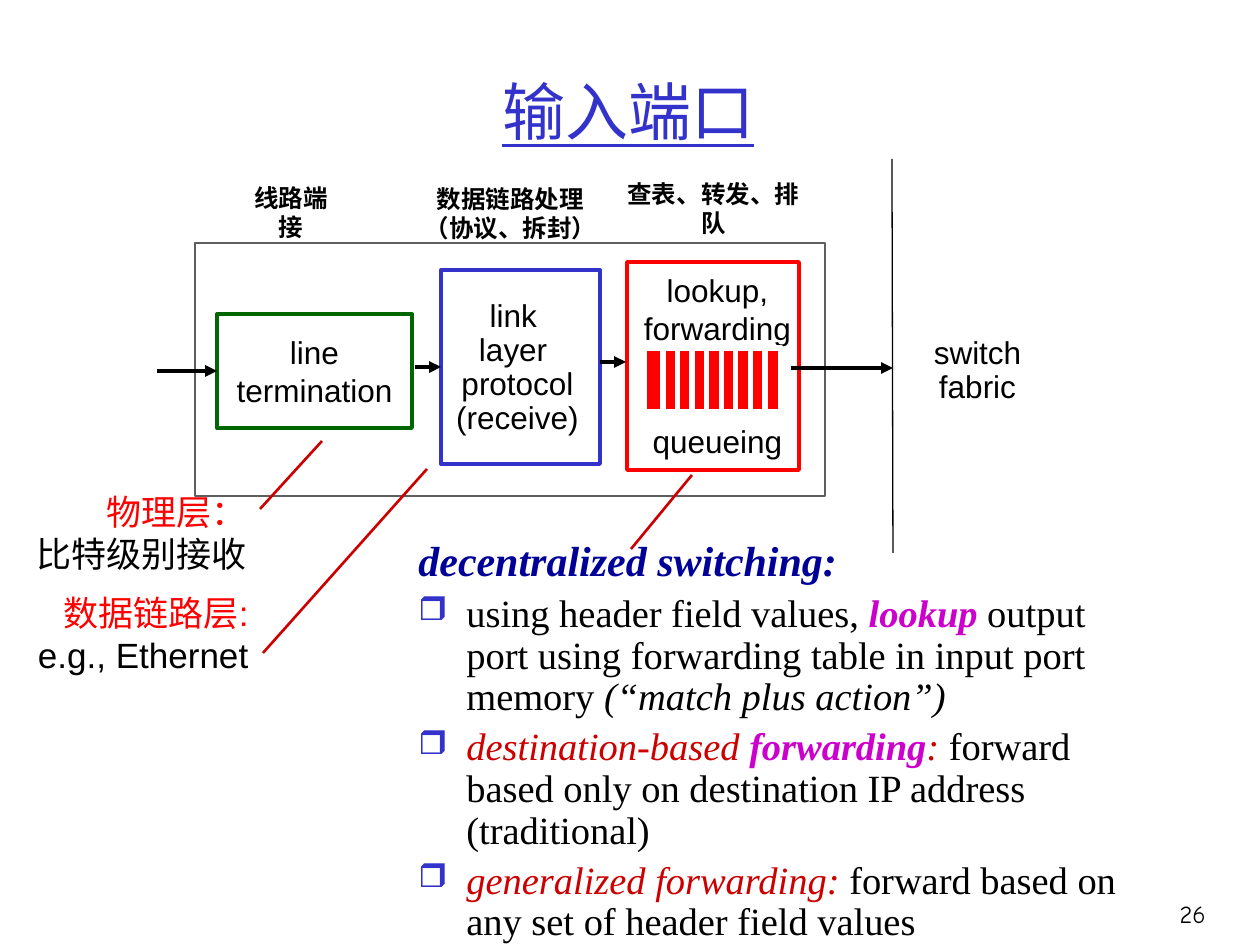
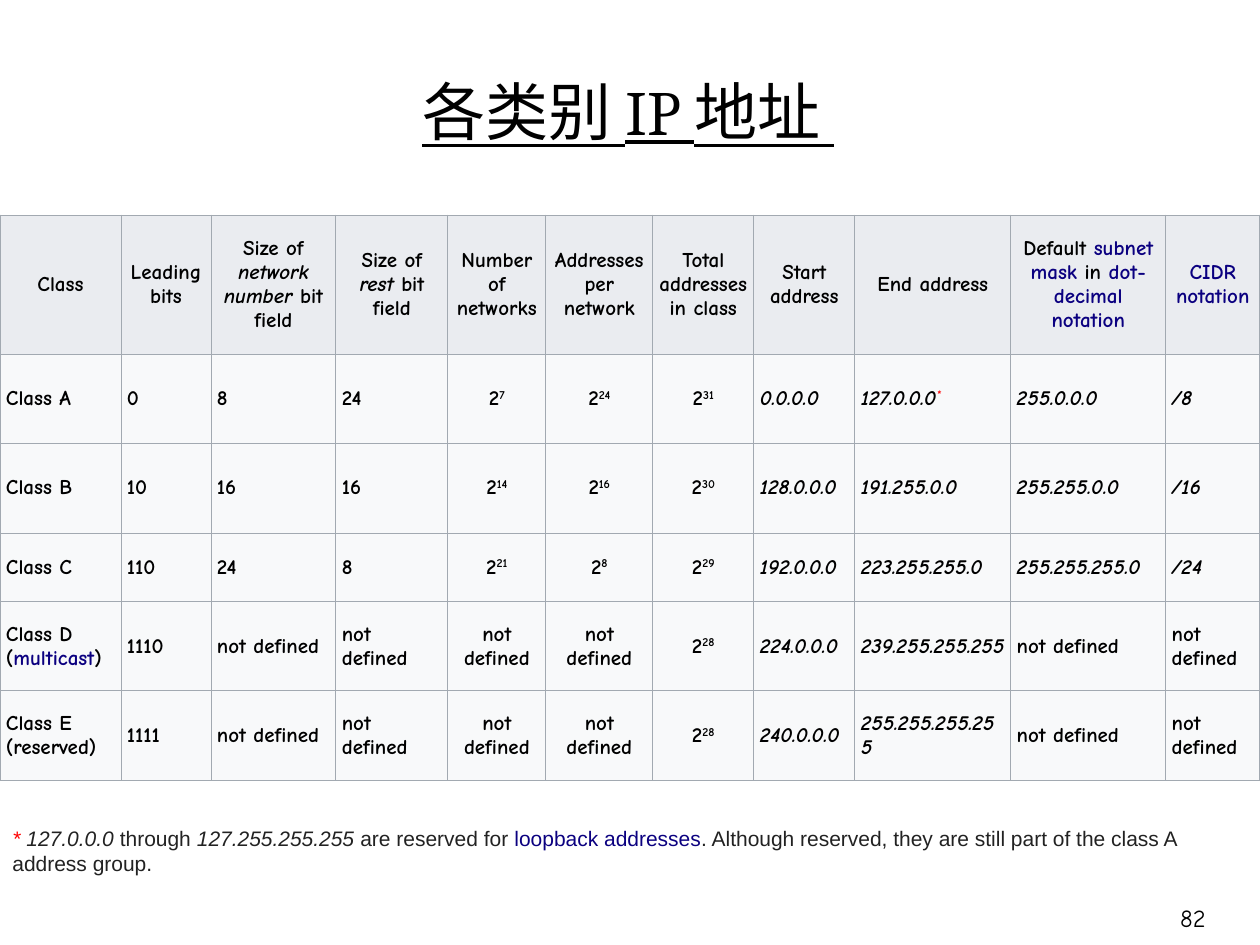
"""Two lecture slides: router input ports and the classes of IP addresses."""
import pptx
import pptx.dml.color
import pptx.enum.shapes
import pptx.enum.text
import pptx.oxml.ns
import pptx.util
from lxml import etree

RGB = pptx.dml.color.RGBColor
BLACK = RGB(0, 0, 0)
WHITE = RGB(255, 255, 255)
BLUE = RGB(0x33, 0x33, 0xCC)
NAVY = RGB(0, 0, 0x99)
RED = RGB(255, 0, 0)
DARK_RED = RGB(0xCC, 0, 0)
GREEN = RGB(0, 0x66, 0)
GREY = RGB(0x5F, 0x5F, 0x5F)
MAGENTA = RGB(0xCC, 0, 0xCC)
LINK = RGB(0x0B, 0, 0x80)
NOTE = RGB(0x22, 0x22, 0x22)
HEADER_FILL = RGB(0xEA, 0xEC, 0xF0)
ROW_FILL = RGB(0xF8, 0xF9, 0xFA)
BORDER = "A2A9B1"

PX = 914400 / 126
HAND = "Comic Neue"
CHINESE = "Noto Sans CJK SC"
LEFT, CENTER, RIGHT = (pptx.enum.text.PP_ALIGN.LEFT, pptx.enum.text.PP_ALIGN.CENTER,
                       pptx.enum.text.PP_ALIGN.RIGHT)
TOP, MIDDLE = pptx.enum.text.MSO_ANCHOR.TOP, pptx.enum.text.MSO_ANCHOR.MIDDLE
RECTANGLE = pptx.enum.shapes.MSO_SHAPE.RECTANGLE
STRAIGHT = pptx.enum.shapes.MSO_CONNECTOR.STRAIGHT
qn = pptx.oxml.ns.qn
Pt = pptx.util.Pt


def write(frame, lines, size, font="Arial", color=BLACK, align=LEFT, anchor=MIDDLE,
          wrap=False, spacing=None, **common):
    """Fill a text frame; a line is a string or a list of (text, style) spans."""
    frame.word_wrap = wrap
    frame.vertical_anchor = anchor
    for index, line in enumerate(lines):
        para = frame.paragraphs[0] if index == 0 else frame.add_paragraph()
        para.alignment = align
        if spacing:
            para.line_spacing = spacing
        for text, style in [(line, {})] if isinstance(line, str) else line:
            span = para.add_run()
            span.text = text
            look = {"size": size, "color": color, **common, **style}
            span.font.name = font
            span.font.size = Pt(look["size"])
            span.font.color.rgb = look["color"]
            span.font.bold = look.get("bold", False)
            span.font.italic = look.get("italic", False)
            span.font.underline = look.get("underline", False)
            properties = span._r.get_or_add_rPr()
            etree.SubElement(properties, qn("a:ea"), typeface=CHINESE)
            if look.get("raised"):
                properties.set("baseline", "30000")


def draw_line(shapes, ends, color, width, arrow=False):
    """Draw a straight line through (x1, y1, x2, y2) in px."""
    connector = shapes.add_connector(STRAIGHT, *[round(v * PX) for v in ends])
    connector.line.color.rgb = color
    connector.line.width = Pt(width)
    properties = connector._element.spPr
    if arrow:
        etree.SubElement(properties.find(qn("a:ln")), qn("a:tailEnd"), type="triangle")
    etree.SubElement(properties, qn("a:effectLst"))
    return connector


deck = pptx.Presentation()
deck.slide_width = round(1260 * PX)
deck.slide_height = round(945 * PX)

pages = []
for title, color, number, number_top, number_height in [
        ("输入端口", BLUE, "26", 882, 63), ("各类别 IP 地址 ", BLACK, "82", 896, 44)]:
    page = deck.slides.add_slide(deck.slide_layouts[6])
    pages.append(page)
    box = page.shapes.add_textbox(*[round(v * PX) for v in (73, 32, 1111, 157)])
    write(box.text_frame, [title], 36, "Cambria", color, CENTER, wrap=True, underline=True)
    box = page.shapes.add_textbox(
        *[round(v * PX) for v in (1125, number_top, 93, number_height)])
    write(box.text_frame, [number], 14, HAND, align=RIGHT, wrap=True)

port_page, class_page = pages
shapes = port_page.shapes

for lines, area in [
        (["线路端接"], (231, 193, 120, 39)),
        (["数据链路处理", "（协议、拆封）"], (410, 179, 201, 68)),
        (["查表、转发、排队"], (605, 183, 217, 50))]:
    box = shapes.add_textbox(*[round(v * PX) for v in area])
    write(box.text_frame, lines, 14, HAND, align=CENTER, bold=True)

stages = {}
for name, area, outline, width, lines, spacing in [
        ("port", (195, 243, 630, 253), GREY, 1.5, [], None),
        ("termination", (217, 314, 195, 114), GREEN, 2.25, ["line", "termination"], None),
        ("link", (441, 270, 159, 194), BLUE, 2.25, [], None),
        ("lookup", (627, 262, 172, 208), RED, 2.25, [], None),
        ("protocol", (445, 311, 145, 115), None, 0,
         ["link ", "layer ", "protocol", "(receive)"], 0.9),
        ("fabric", (905, 314, 145, 115), None, 0, ["switch", "fabric"], 0.9)]:
    stage = shapes.add_shape(RECTANGLE, *[round(v * PX) for v in area])
    stage.shadow.inherit = False
    stage.fill.solid()
    stage.fill.fore_color.rgb = WHITE
    if outline:
        stage.line.color.rgb = outline
        stage.line.width = Pt(width)
    else:
        stage.line.fill.background()
    write(stage.text_frame, lines, 18, align=CENTER, spacing=spacing)
    stages[name] = stage

for ends, target in [((157, 371, 217, 371), "termination"), ((415, 367, 441, 367), "link"),
                     ((600, 362, 626, 362), None), ((791, 368, 893, 368), None)]:
    arrow = draw_line(shapes, ends, BLACK, 2.25, arrow=True)
    if target:
        arrow.end_connect(stages[target], 1)

box = shapes.add_textbox(*[round(v * PX) for v in (631, 265, 173, 202)])
write(box.text_frame, ["lookup,", "forwarding", "queueing"], 18, align=CENTER, anchor=TOP)
box.text_frame.paragraphs[2].space_before = Pt(43)

for layer, example, font, area in [
        ("物理层：", "比特级别接收", CHINESE, (21, 484, 238, 97)),
        ("数据链路层:", "e.g., Ethernet", "Arial", (24, 585, 237, 97))]:
    box = shapes.add_textbox(*[round(v * PX) for v in area])
    write(box.text_frame, [[(layer, {"color": RED})], example], 20, font,
          align=RIGHT, anchor=TOP)

draw_line(shapes, (892, 159, 893, 553), BLACK, 0.75)

queue = shapes.add_group_shape()
buffer = queue.shapes.add_shape(RECTANGLE, *[round(v * PX) for v in (644, 348, 137, 64)])
buffer.shadow.inherit = False
buffer.fill.solid()
buffer.fill.fore_color.rgb = RED
buffer.line.color.rgb = WHITE
buffer.line.width = Pt(3)
for slot in range(8):
    x = 663 + slot * 102 / 7
    draw_line(queue.shapes, (x, 349, x, 411), WHITE, 3)

for ends in [(260, 509, 322, 441), (263, 653, 427, 469), (631, 549, 692, 475)]:
    draw_line(shapes, ends, DARK_RED, 1.5)

ITALIC = {"italic": True}
KEYWORD = {"color": MAGENTA, "bold": True, "italic": True}
TERM = {"color": DARK_RED, "italic": True}
box = shapes.add_textbox(*[round(v * PX) for v in (406, 534, 752, 411)])
write(box.text_frame, [
    [("decentralized switching:", {"size": 24, "color": NAVY, "bold": True, "italic": True})],
    [("using header field values, ", {}), ("lookup", KEYWORD),
     (" output port using forwarding table in input port memory ", {}),
     ("(“match plus action”)", ITALIC)],
    [("destination-based ", TERM), ("forwarding", KEYWORD), (": ", TERM),
     ("forward based only on destination IP address (traditional)", {})],
    [("generalized forwarding: ", TERM),
     ("forward based on any set of header field values", {})],
], 22, "Times New Roman", anchor=TOP, wrap=True, spacing=0.9)
for index, para in enumerate(box.text_frame.paragraphs):
    properties = para._p.get_or_add_pPr()
    properties.set("marL", str(round(48 * PX)))
    properties.set("indent", str(round(-48 * PX)))
    if index:
        para.space_before = Pt(5)
        bullet_color = etree.SubElement(properties, qn("a:buClr"))
        etree.SubElement(bullet_color, qn("a:srgbClr"), val=str(BLUE))
        etree.SubElement(properties, qn("a:buSzPct"), val="85000")
        etree.SubElement(properties, qn("a:buChar"), char="❒")

LINKED = {"color": LINK}
RAISED = {"raised": True}
box = class_page.shapes.add_textbox(*[round(v * PX) for v in (0, 819, 1193, 63)])
write(box.text_frame, [[
    ("*", {"color": RED, "italic": True}), (" 127.0.0.0", ITALIC), (" through ", {}),
    ("127.255.255.255", ITALIC), (" are reserved for ", {}), ("loopback addresses", LINKED),
    (". Although reserved, they are still part of the class A address group.", {}),
]], 12, color=NOTE, anchor=TOP, wrap=True)

UNDEFINED = "not defined"
class_rows = [
    ["Class", "Leading bits",
     [("Size of ", {}), ("network number", ITALIC), (" bit field", {})],
     [("Size of ", {}), ("rest", ITALIC), (" bit field", {})],
     "Number of networks", "Addresses per network", "Total addresses in class",
     "Start address", "End address",
     [("Default ", {}), ("subnet mask", LINKED), (" in ", {}),
      ("dot-decimal notation", LINKED)],
     [("CIDR notation", LINKED)]],
    ["Class A", "0", "8", "24", "2^7", "2^24", "2^31", "0.0.0.0",
     [("127.0.0.0", ITALIC), ("*", {"color": RED, "raised": True})], "255.0.0.0", "/8"],
    ["Class B", "10", "16", "16", "2^14", "2^16", "2^30", "128.0.0.0", "191.255.0.0",
     "255.255.0.0", "/16"],
    ["Class C", "110", "24", "8", "2^21", "2^8", "2^29", "192.0.0.0", "223.255.255.0",
     "255.255.255.0", "/24"],
    [[("Class D (", {}), ("multicast", LINKED), (")", {})], "1110", *[UNDEFINED] * 4, "2^28",
     "224.0.0.0", "239.255.255.255", *[UNDEFINED] * 2],
    ["Class E (reserved)", "1111", *[UNDEFINED] * 4, "2^28", "240.0.0.0",
     "255.255.255.255", *[UNDEFINED] * 2]]
column_widths = [121, 90, 125, 112, 98, 107, 101, 101, 156, 155, 94]
row_heights = [139, 89, 90, 69, 89, 90]

table = class_page.shapes.add_table(
    len(row_heights), len(column_widths), 0, round(215 * PX),
    round(sum(column_widths) * PX), round(sum(row_heights) * PX)).table
table.first_row = False
table.horz_banding = False
for column, width in zip(table.columns, column_widths):
    column.width = round(width * PX)
for row, height in zip(table.rows, row_heights):
    row.height = round(height * PX)

for r, values in enumerate(class_rows):
    for c, value in enumerate(values):
        cell = table.cell(r, c)
        cell.margin_left = cell.margin_right = round(6 * PX)
        cell.margin_top = cell.margin_bottom = round(4 * PX)
        cell.vertical_anchor = MIDDLE
        for side in ("a:lnL", "a:lnR", "a:lnT", "a:lnB"):
            edge = etree.SubElement(cell._tc.get_or_add_tcPr(), qn(side), w="7620")
            paint = etree.SubElement(edge, qn("a:solidFill"))
            etree.SubElement(paint, qn("a:srgbClr"), val=BORDER)
        cell.fill.solid()
        cell.fill.fore_color.rgb = ROW_FILL if r else HEADER_FILL
        if "^" in value:
            base, exponent = value.split("^")
            value = [(base, {}), (exponent, RAISED)]
        italic = r > 0 and c >= 7 and value != UNDEFINED
        centered = r == 0 or 4 <= c <= 6
        write(cell.text_frame, [value], 12, HAND, align=CENTER if centered else LEFT,
              wrap=True, bold=True, italic=italic)

deck.save("out.pptx")
